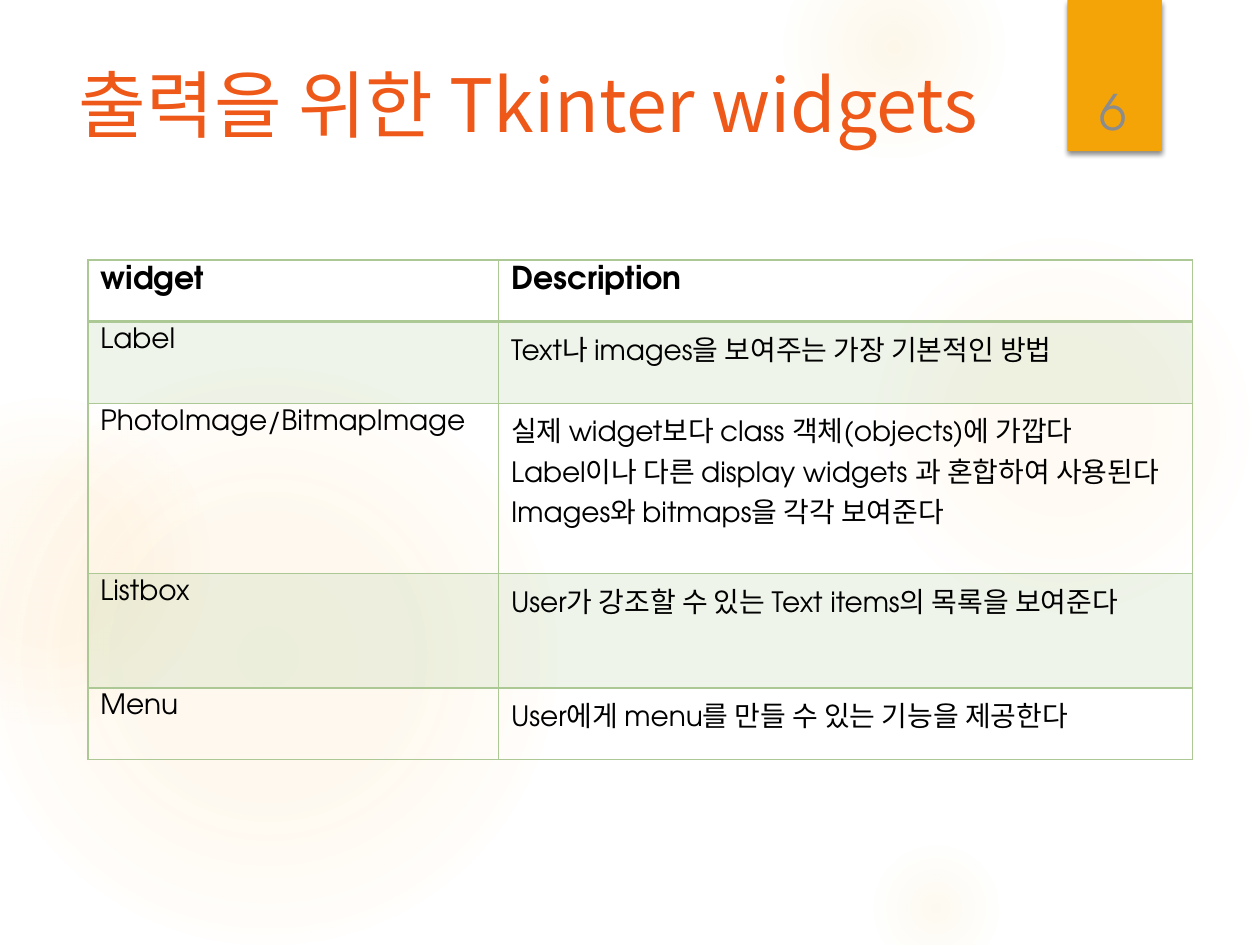
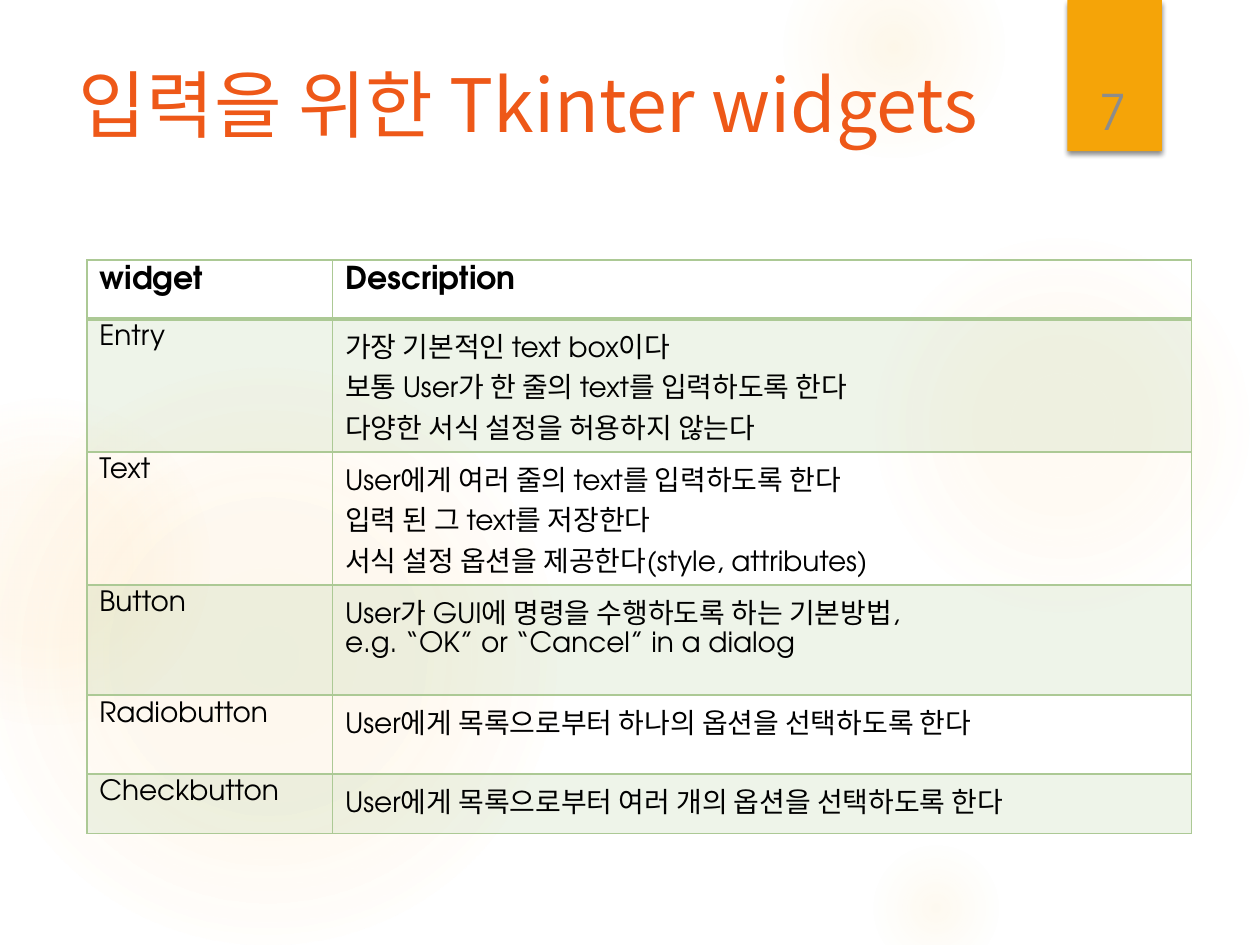
"""Build two slides that list Tkinter widgets for output and for input."""
from dataclasses import dataclass

from pptx import Presentation
from pptx.dml.color import RGBColor as Rgb
from pptx.enum.shapes import MSO_SHAPE as Shape
from pptx.enum.text import MSO_ANCHOR as Anchor, PP_ALIGN as Align
from pptx.oxml import parse_xml
from pptx.oxml.ns import nsdecls
from pptx.util import Pt


@dataclass(frozen=True)
class Theme:
    title_color: str = "EE5818"
    ribbon: str = "F5A408"
    glow: str = "FAC96A"
    green: str = "ACC995"
    number_color: str = "8C8C8C"
    ink: str = "000000"
    korean: str = "Noto Sans CJK KR"
    latin: str = "TeX Gyre Adventor"
    title_size: int = 42
    number_size: int = 28
    header_size: int = 18
    body_size: int = 16


theme = Theme()
NS = nsdecls("a")

GLOWS = [
    (496, 132, 222, [(0, 7), (36, 6), (69, 0)]),
    (448, -36, 126, [(0, 14), (36, 7), (73, 0)]),
    (496, 480, 78, [(0, 10), (31, 5), (66, 0)]),
    (-12, 210, 330, [(0, 11), (36, 10), (75, 0)]),
    (-66, 228, 186, [(0, 8), (36, 8), (72, 0)]),
]

PAGES = [
    {
        "number": 6,
        "title": "출력을 위한 Tkinter widgets",
        "left": 50.2,
        "columns": [234.7, 396.5],
        "heights": [35.2, 46.8, 97.2, 65.4, 41],
        "rows": [
            ("widget", "Description"),
            ("Label", "Text나 images을 보여주는 가장 기본적인 방법"),
            ("PhotoImage/BitmapImage",
             "실제 widget보다 class 객체(objects)에 가깝다\n"
             "Label이나 다른 display widgets 과 혼합하여 사용된다 "
             "Images와 bitmaps을 각각 보여준다"),
            ("Listbox", "User가 강조할 수 있는 Text items의 목록을 보여준다"),
            ("Menu", "User에게 menu를 만들 수 있는 기능을 제공한다"),
        ],
    },
    {
        "number": 7,
        "title": "입력을 위한 Tkinter widgets",
        "left": 49.6,
        "columns": [140.4, 491],
        "heights": [33.8, 76, 76, 63, 45, 34],
        "rows": [
            ("widget", "Description"),
            ("Entry",
             "가장 기본적인 text box이다\n"
             "보통 User가 한 줄의 text를 입력하도록 한다\n"
             "다양한 서식 설정을 허용하지 않는다"),
            ("Text",
             "User에게 여러 줄의 text를 입력하도록 한다\n"
             "입력 된 그 text를 저장한다\n"
             "서식 설정 옵션을 제공한다(style, attributes)"),
            ("Button",
             "User가 GUI에 명령을 수행하도록 하는 기본방법,\n"
             "e.g. “OK” or “Cancel” in a dialog"),
            ("Radiobutton", "User에게 목록으로부터 하나의 옵션을 선택하도록 한다"),
            ("Checkbutton", "User에게 목록으로부터 여러 개의 옵션을 선택하도록 한다"),
        ],
    },
]


def write(frame, text, size, color, font=theme.latin, bold=False):
    frame.text = text
    frame.word_wrap = True
    for para in frame.paragraphs:
        for span in para.runs:
            span.font.size = Pt(size)
            span.font.bold = bold
            span.font.color.rgb = Rgb.from_string(color)
            span.font.name = font
            span.font._element.append(
                parse_xml(f'<a:ea {NS} typeface="{theme.korean}"/>'))


def add_plain_shape(page, kind, left, top, width, height):
    shape = page.shapes.add_shape(kind, Pt(left), Pt(top), Pt(width), Pt(height))
    shape.shadow.inherit = False
    shape.line.fill.background()
    return shape


deck = Presentation()
deck.slide_width, deck.slide_height = Pt(720), Pt(540)

for content in PAGES:
    page = deck.slides.add_slide(deck.slide_layouts[6])

    for left, top, size, stops in GLOWS:
        glow = add_plain_shape(page, Shape.OVAL, left, top, size, size)
        stop_xml = "".join(
            f'<a:gs pos="{place * 1000}"><a:srgbClr val="{theme.glow}">'
            f'<a:alpha val="{alpha * 1000}"/></a:srgbClr></a:gs>'
            for place, alpha in stops)
        glow.fill.background()
        properties = glow._element.spPr
        properties.replace(properties.find("{*}noFill"), parse_xml(
            f'<a:gradFill {NS}><a:gsLst>{stop_xml}</a:gsLst><a:path path="circle">'
            '<a:fillToRect l="50000" t="50000" r="50000" b="50000"/>'
            '</a:path></a:gradFill>'))

    ribbon = add_plain_shape(page, Shape.RECTANGLE, 610, 0, 54, 86.4)
    ribbon.fill.solid()
    ribbon.fill.fore_color.rgb = Rgb.from_string(theme.ribbon)
    ribbon._element.spPr.find("{*}effectLst").append(parse_xml(
        f'<a:outerShdw {NS} blurRad="{Pt(3)}" dist="{Pt(2)}" dir="5400000">'
        f'<a:srgbClr val="{theme.ink}"><a:alpha val="45000"/></a:srgbClr></a:outerShdw>'))

    title = page.shapes.add_textbox(Pt(38), Pt(36), Pt(556), Pt(110)).text_frame
    write(title, content["title"], theme.title_size, theme.title_color, theme.korean)
    title.paragraphs[0].line_spacing = 0.9

    rows, columns, heights = content["rows"], content["columns"], content["heights"]
    table = page.shapes.add_table(
        len(rows), len(columns), Pt(content["left"]), Pt(148.5),
        Pt(sum(columns)), Pt(sum(heights))).table
    table.first_row = table.horz_banding = False
    for column, width in zip(table.columns, columns):
        column.width = Pt(width)
    for row_index, (texts, height) in enumerate(zip(rows, heights)):
        table.rows[row_index].height = Pt(height)
        is_header = row_index == 0
        size = theme.header_size if is_header else theme.body_size
        borders = {"L": 1, "R": 1, "T": 2 if row_index == 1 else 1,
                   "B": 2 if is_header else 1}
        for column_index, text in enumerate(texts):
            cell = table.cell(row_index, column_index)
            write(cell.text_frame, text, size, theme.ink, bold=is_header)
            properties = cell._tc.get_or_add_tcPr()
            if row_index % 2:
                cell.fill.solid()
                cell.fill.fore_color.rgb = Rgb.from_string(theme.green)
                properties.find("{*}solidFill")[0].append(
                    parse_xml(f'<a:alpha {NS} val="20000"/>'))
            else:
                cell.fill.background()
            for place, (side, weight) in enumerate(borders.items()):
                properties.insert(place, parse_xml(
                    f'<a:ln{side} {NS} w="{Pt(weight)}"><a:solidFill>'
                    f'<a:srgbClr val="{theme.green}"/></a:solidFill></a:ln{side}>'))

    number = page.shapes.add_textbox(Pt(611), Pt(23), Pt(50), Pt(60.5)).text_frame
    write(number, str(content["number"]), theme.number_size, theme.number_color)
    number.vertical_anchor = Anchor.BOTTOM
    number.paragraphs[0].alignment = Align.CENTER

deck.save("out.pptx")
